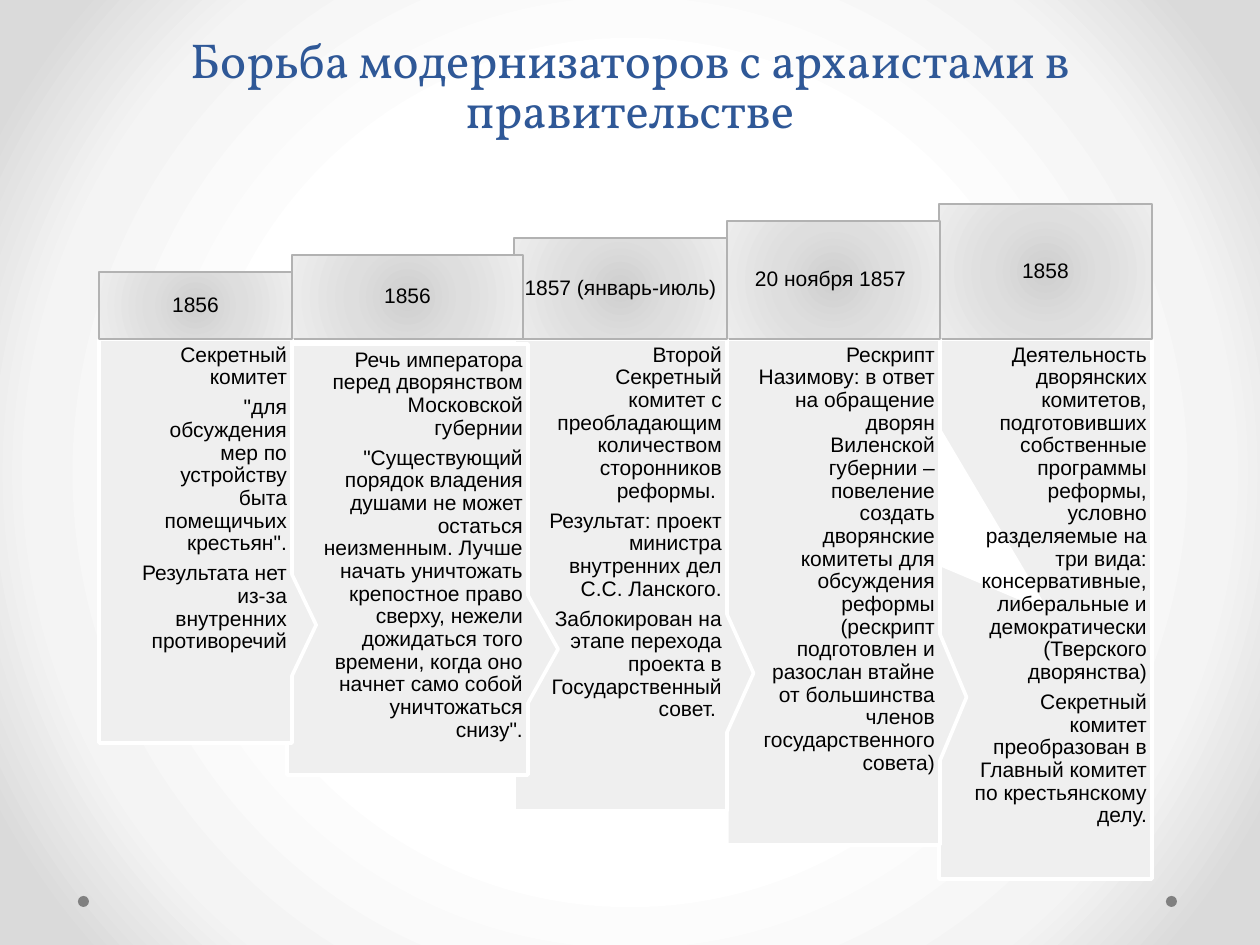
from lxml import etree
from pptx import Presentation
from pptx.dml.color import RGBColor
from pptx.enum.shapes import MSO_SHAPE
from pptx.enum.text import MSO_ANCHOR, PP_ALIGN
from pptx.oxml.ns import qn
from pptx.util import Pt

PX = 914400 / 126
RECT, CALLOUT, OVAL = MSO_SHAPE.RECTANGLE, MSO_SHAPE.RECTANGULAR_CALLOUT, MSO_SHAPE.OVAL
CENTER, RIGHT = PP_ALIGN.CENTER, PP_ALIGN.RIGHT
TOP, MIDDLE, BOTTOM = MSO_ANCHOR.TOP, MSO_ANCHOR.MIDDLE, MSO_ANCHOR.BOTTOM

COLORS = {"title": "2F5897", "text": "000000", "dot": "808080",
          "panel": "EFEFEF", "panel_line": "FFFFFF", "date_line": "B2B2B2"}
PAGE_STOPS = [(50, "FFFFFF"), (76, "F4F4F4"), (92, "DADADA")]
DATE_STOPS = [(0, "CFCFCF"), (45, "DEDEDE"), (100, "EDEDED")]

BASELINE = 339        # where dates meet their descriptions
DATE_HEIGHT, DATE_STEP = 67, 17
POINTER = (0.625, 0.208)

# date, date left and width, description box, pointer, description
STAGES = [
    ("1856", (99, 193), (99, 339, 193, 404), POINTER,
     ["Секретный комитет",
      '"для обсуждения мер по устройству быта помещичьих крестьян".',
      "Результата нет из-за внутренних противоречий"]),
    ("1856", (292, 231), (287, 344, 241, 431), POINTER,
     ["Речь императора перед дворянством Московской губернии",
      '"Существующий порядок владения душами не может остаться неизменным. '
      "Лучше начать уничтожать крепостное право сверху, нежели дожидаться того "
      'времени, когда оно начнет само собой уничтожаться снизу".']),
    ("1857 (январь-июль)", (514, 213), (514, 339, 213, 472), POINTER,
     ["Второй Секретный комитет с преобладающим количеством сторонников реформы. ",
      "Результат: проект министра внутренних дел С.С. Ланского.",
      "Заблокирован на этапе перехода проекта в Государственный совет. "]),
    ("20 ноября 1857 ", (727, 213), (727, 339, 213, 506), POINTER,
     ["Рескрипт Назимову: в ответ на обращение дворян Виленской губернии – "
      "повеление создать дворянские комитеты для обсуждения реформы (рескрипт "
      "подготовлен и разослан втайне от большинства членов государственного совета)"]),
    ("1858", (939, 213), (939, 339, 213, 540), (0, 0),
     ["Деятельность дворянских комитетов, подготовивших собственные программы "
      "реформы, условно разделяемые на три вида: консервативные, либеральные и "
      "демократически (Тверского дворянства)",
      "Секретный комитет преобразован в Главный комитет по крестьянскому делу."]),
]


def emu(*lengths):
    return [round(length * PX) for length in lengths]


def rgb(name):
    return RGBColor.from_string(COLORS[name])


def set_radial_fill(properties, stops, focus):
    """Replace the solid fill of the properties with a circular gradient."""
    gradient = etree.Element(qn("a:gradFill"), rotWithShape="1")
    stop_list = etree.SubElement(gradient, qn("a:gsLst"))
    for percent, color in stops:
        stop = etree.SubElement(stop_list, qn("a:gs"), pos=str(percent * 1000))
        etree.SubElement(stop, qn("a:srgbClr"), val=color)
    circle = etree.SubElement(gradient, qn("a:path"), path="circle")
    etree.SubElement(circle, qn("a:fillToRect"),
                     {side: str(focus * 1000) for side in "ltrb"})
    properties.replace(properties.find(qn("a:solidFill")), gradient)


def add_box(slide, kind, box, fill, line=None, width=0):
    shape = slide.shapes.add_shape(kind, *emu(*box))
    shape.shadow.inherit = False
    shape.fill.solid()
    shape.fill.fore_color.rgb = rgb(fill)
    if line:
        shape.line.color.rgb = rgb(line)
        shape.line.width = Pt(width)
    else:
        shape.line.fill.background()
    return shape


def write(shape, paragraphs, align, anchor, left_margin=5):
    frame = shape.text_frame
    frame.word_wrap = True
    frame.vertical_anchor = anchor
    frame.margin_left, frame.margin_top = emu(left_margin, 5)
    frame.margin_right, frame.margin_bottom = emu(5, 5)
    frame.text = "\n".join(paragraphs)
    for paragraph in frame.paragraphs:
        paragraph.alignment = align
        paragraph.line_spacing = 0.9
        paragraph.space_after = Pt(4.2 if len(paragraphs) > 1 else 0)
        paragraph.font.size = Pt(12)
        paragraph.font.name = "Arial"
        paragraph.font.color.rgb = rgb("text")


def draw_backdrop(slide):
    slide.background.fill.solid()
    set_radial_fill(slide.element.find(".//" + qn("p:bgPr")), PAGE_STOPS, 50)
    for left in (1166, 78):
        add_box(slide, OVAL, (left, 896, 11, 11), "dot")


def draw_title(slide, box):
    frame = slide.shapes.add_textbox(*emu(*box)).text_frame
    frame.word_wrap = True
    frame.vertical_anchor = BOTTOM
    title = frame.paragraphs[0]
    title.text = "Борьба модернизаторов с архаистами в правительстве"
    title.alignment = CENTER
    title.line_spacing = 0.85
    title.font.size = Pt(28)
    title.font.name = "Vollkorn"
    title.font.color.rgb = rgb("title")


def draw_stage(slide, date, date_box, panel_box, pointer, description):
    # Description with a pointer to the next stage
    panel = add_box(slide, CALLOUT, panel_box, "panel", "panel_line", 2.08)
    panel.adjustments[0], panel.adjustments[1] = pointer
    write(panel, description, RIGHT, TOP, left_margin=panel_box[2] // 8 + 5)

    # Date above it
    heading = add_box(slide, RECT, date_box, "panel", "date_line", 0.75)
    set_radial_fill(heading.element.spPr, DATE_STOPS, 100)
    write(heading, [date], CENTER, MIDDLE)


def main():
    deck = Presentation()
    deck.slide_width, deck.slide_height = emu(1260, 945)
    slide = deck.slides.add_slide(deck.slide_layouts[6])
    draw_backdrop(slide)
    draw_title(slide, (63, 26, 1134, 119))

    # Later stages lie behind earlier ones
    for index, stage in reversed(list(enumerate(STAGES))):
        date, (left, width), panel_box, pointer, description = stage
        height = DATE_HEIGHT + DATE_STEP * index
        date_box = (left, BASELINE - height, width, height)
        draw_stage(slide, date, date_box, panel_box, pointer, description)
    deck.save("out.pptx")


if __name__ == "__main__":
    main()
